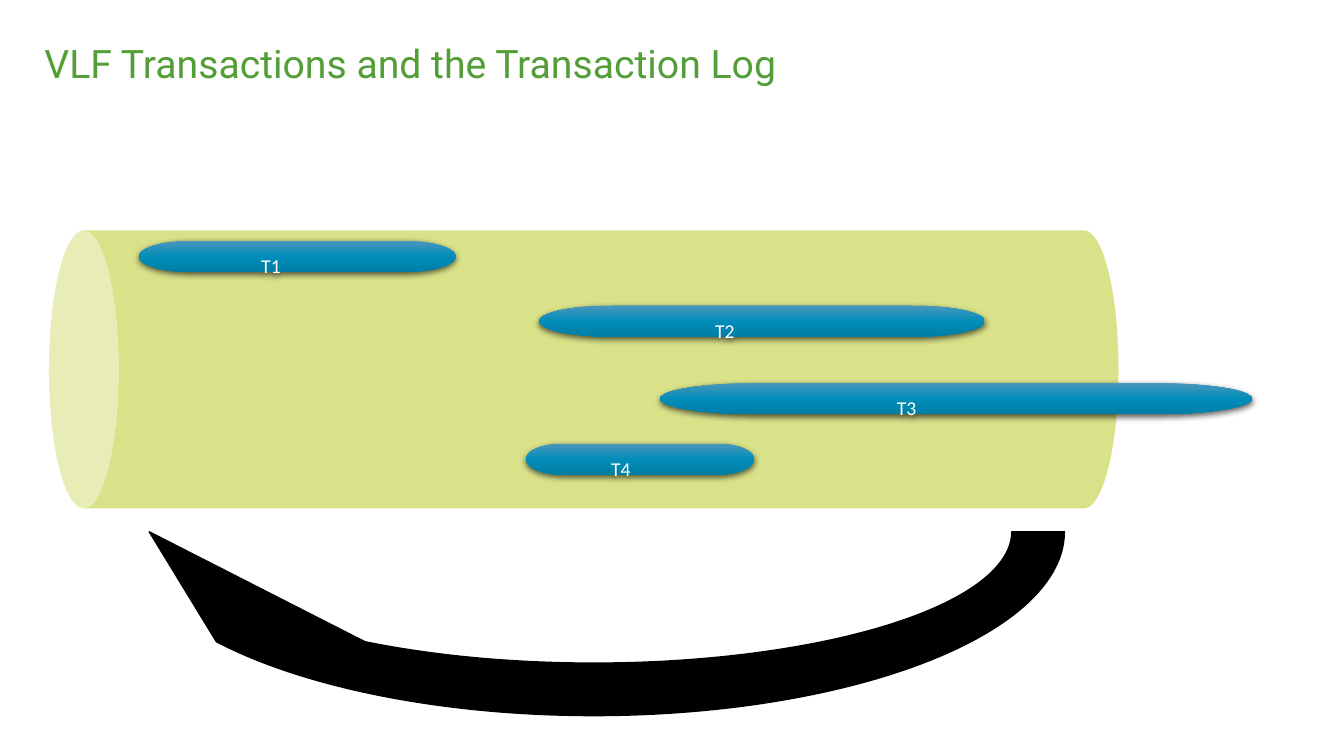
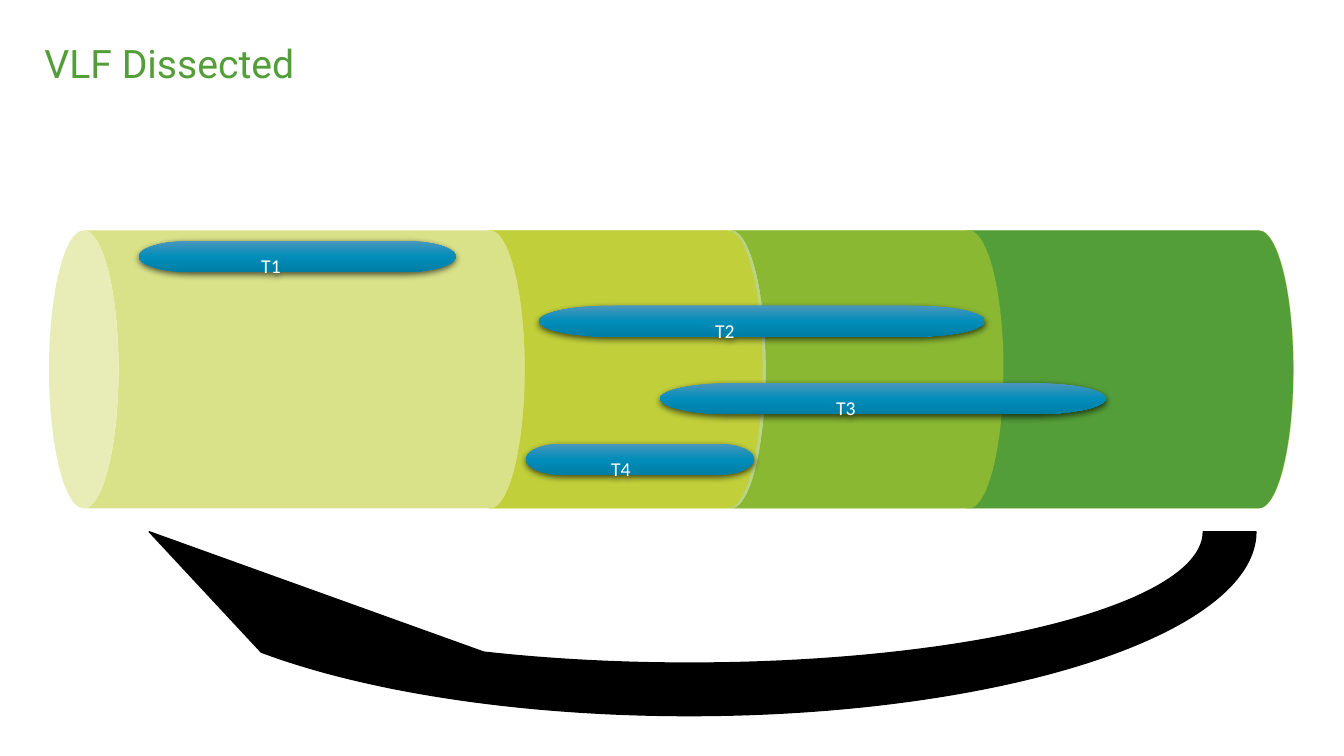
from lxml.etree import SubElement
from pptx import Presentation
from pptx.dml.color import RGBColor
from pptx.enum.shapes import MSO_SHAPE as Geo
from pptx.enum.text import MSO_ANCHOR as Anchor, PP_ALIGN as Align
from pptx.oxml.ns import qn
from pptx.util import Pt

# Colours
LIGHT = RGBColor(0xD9, 0xE2, 0x89)
LIME = RGBColor(0xC0, 0xCF, 0x3A)
GRASS = RGBColor(0x8A, 0xB8, 0x33)
GREEN = RGBColor(0x54, 0x9E, 0x39)
BLACK = RGBColor(0, 0, 0)
WHITE = RGBColor(0xFF, 0xFF, 0xFF)
BLUES = [
    (0, RGBColor(0x4B, 0x97, 0xBC)),
    (50, RGBColor(0x01, 0x8D, 0xB9)),
    (100, RGBColor(0x00, 0x7E, 0xA5)),
]

# Shared places, in points
LOG_TOP, LOG_HIGH = 164.5, 198.7
BAR_HIGH = 22.3
LOOP_LEFT, LOOP_TOP, LOOP_HIGH = 69.1, 229.7, 300.2

# Bars: label, left, top, width
T1 = ("T1", 99.4, 172, 226)
T2 = ("T2", 385.2, 218.2, 318.2)
T4 = ("T4", 375.8, 316.8, 162.7)


def third(width):
    return ("T3", 471.6, 273.6, width)


# Tubes: left, width, colour (back to front)
SLIDES = [
    {
        "title": "VLF Transactions and the Transaction Log",
        "tubes": [(35, 764, LIGHT)],
        "bars": [T1, T2, third(422.6), T4],
        "loop": 709.9,
    },
    {
        "title": "VLF Dissected",
        "tubes": [
            (35, 889.2, LIGHT),
            (666, 257.8, GREEN),
            (497.2, 219.6, GRASS),
            (325.1, 219.6, LIME),
        ],
        "bars": [T1, T2, third(318.2), T4],
        "loop": 846.7,
    },
]


def add_shape(slide, geo, left, top, width, height):
    shape = slide.shapes.add_shape(geo, Pt(left), Pt(top), Pt(width), Pt(height))
    shape.shadow.inherit = False
    shape.line.fill.background()
    return shape


def set_text(para, text, font, size, color, align):
    para.text = text
    para.alignment = align
    para.line_spacing = 0.9
    para.font.name = font
    para.font.size = Pt(size)
    para.font.color.rgb = color


def add_title(slide, text):
    title = slide.shapes.title
    title.left, title.top = Pt(24.5), Pt(18)
    title.width, title.height = Pt(828), Pt(57.6)
    frame = title.text_frame
    frame.vertical_anchor = Anchor.MIDDLE
    set_text(frame.paragraphs[0], text, "Roboto", 28, GREEN, Align.LEFT)


def add_tube(slide, left, width, color):
    # A can turned on its side keeps its centre
    shift = (width - LOG_HIGH) / 2
    tube = add_shape(slide, Geo.CAN, left + shift, LOG_TOP - shift, LOG_HIGH, width)
    tube.rotation = 270
    tube.fill.solid()
    tube.fill.fore_color.rgb = color


def add_color(node, color):
    return SubElement(node, qn("a:srgbClr"), val=str(color))


def add_bar(slide, text, left, top, width):
    drum = Geo.FLOWCHART_DIRECT_ACCESS_STORAGE
    bar = add_shape(slide, drum, left, top, width, BAR_HIGH)

    # Gradient from top to bottom
    bar.fill.gradient()
    bar.fill.gradient_angle = 270
    props = bar._element.spPr
    stops = props.find(".//" + qn("a:gsLst"))
    for stop in list(stops):
        stops.remove(stop)
    for part, color in BLUES:
        add_color(SubElement(stops, qn("a:gs"), pos=str(part * 1000)), color)

    # Soft shadow below
    cast = SubElement(
        props.find(qn("a:effectLst")), qn("a:outerShdw"),
        blurRad=str(Pt(4.5)), dist=str(Pt(1.5)), dir="5400000", rotWithShape="0",
    )
    SubElement(add_color(cast, BLACK), qn("a:alpha"), val="63000")

    # Label
    frame = bar.text_frame
    frame.vertical_anchor = Anchor.TOP
    frame.margin_left = frame.margin_right = Pt(14.4)
    frame.margin_top = frame.margin_bottom = Pt(11.5)
    set_text(frame.paragraphs[0], text, "Calibri", 14, WHITE, Align.CENTER)


def add_loop(slide, width):
    loop = add_shape(slide, Geo.CIRCULAR_ARROW, LOOP_LEFT, LOOP_TOP, width, LOOP_HIGH)
    loop.rotation = 180
    loop.fill.solid()
    loop.fill.fore_color.rgb = BLACK
    loop.line.color.rgb = BLACK
    loop.line.width = Pt(1)


def main():
    deck = Presentation()
    deck.slide_width, deck.slide_height = Pt(960), Pt(540)
    for item in SLIDES:
        slide = deck.slides.add_slide(deck.slide_layouts[5])
        add_title(slide, item["title"])
        for tube in item["tubes"]:
            add_tube(slide, *tube)
        for bar in item["bars"]:
            add_bar(slide, *bar)
        add_loop(slide, item["loop"])
    deck.save("out.pptx")


if __name__ == "__main__":
    main()
